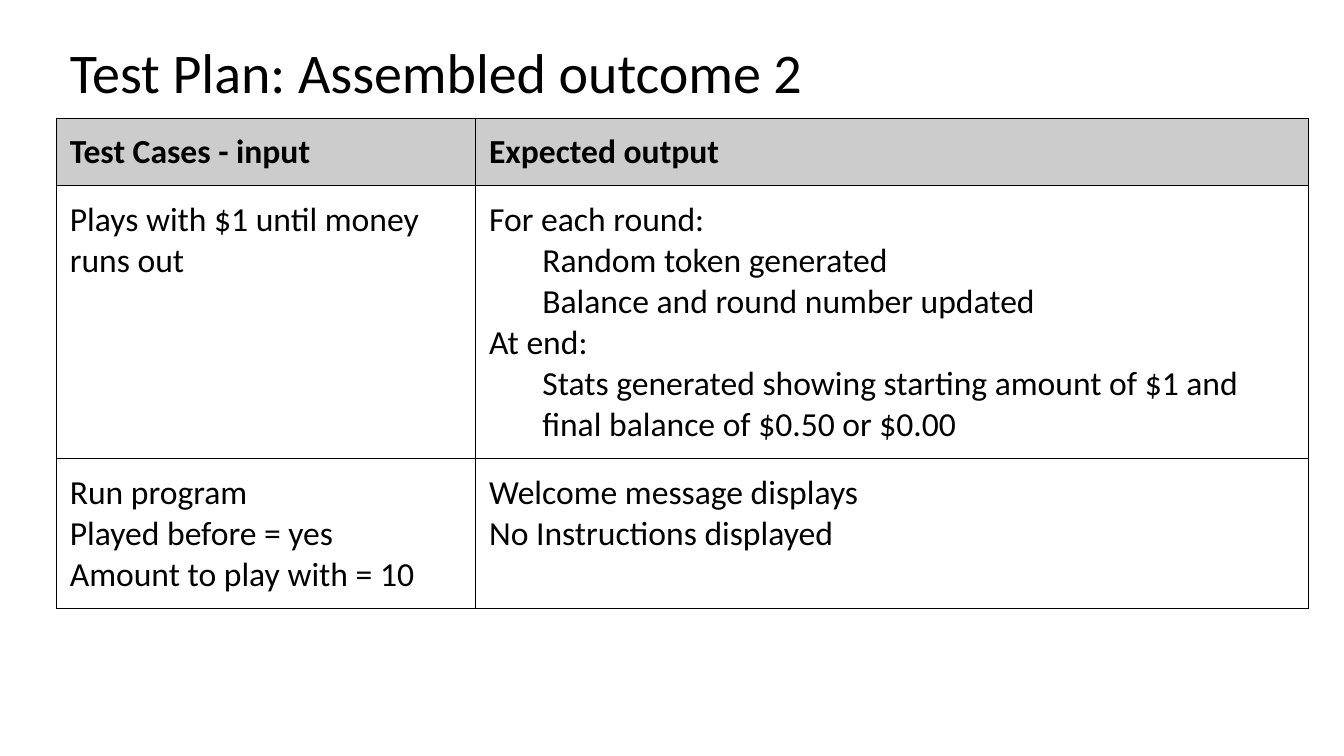
from lxml import etree
from pptx import Presentation
from pptx import util as u
from pptx.dml.color import RGBColor
from pptx.enum import text
from pptx.oxml.ns import qn

INSET = u.Pt(9.6)
LEFT, WIDTH = u.Pt(40.3), u.Pt(894.5)


def color(hex_value):
    return RGBColor.from_string(hex_value)


def format_text(tf, size, bold=False):
    for p in tf.paragraphs:
        for r in p.runs:
            r.font.name = "Calibri"
            r.font.size = u.Pt(size)
            r.font.bold = bold
            r.font.color.rgb = color("000000")


prs = Presentation()
prs.slide_width, prs.slide_height = u.Pt(960), u.Pt(540)
s = prs.slides.add_slide(prs.slide_layouts[5])

# Title
title = s.shapes.title
title.left, title.top, title.width, title.height = LEFT, u.Pt(24), WIDTH, u.Pt(60.3)
tf = title.text_frame
tf.text = "Test Plan: Assembled outcome 2"
tf.word_wrap = True
tf.auto_size = text.MSO_AUTO_SIZE.NONE
tf.vertical_anchor = text.MSO_ANCHOR.MIDDLE
tf.margin_left = tf.margin_right = tf.margin_top = tf.margin_bottom = INSET
tf.paragraphs[0].alignment = text.PP_ALIGN.LEFT
tf.paragraphs[0].line_spacing = 0.9
format_text(tf, 40)

# Table content: a leading tab marks an indented line
rows = [
    ["Test Cases - input", "Expected output"],
    ["Plays with $1 until money runs out",
     "For each round:\n"
     "\tRandom token generated\n"
     "\tBalance and round number updated\n"
     "At end:\n"
     "\tStats generated showing starting amount of $1 and\n"
     "\tfinal balance of $0.50 or $0.00"],
    ["Run program\nPlayed before = yes\nAmount to play with = 10",
     "Welcome message displays\nNo Instructions displayed"],
]
row_heights = [48, 195, 107]
col_widths = [299.5, 595]

# Table
table = s.shapes.add_table(len(rows), 2, LEFT, u.Pt(84.3), WIDTH, u.Pt(sum(row_heights))).table
table.first_row = table.horz_banding = False
for column, width in zip(table.columns, col_widths):
    column.width = u.Pt(width)
for row, height in zip(table.rows, row_heights):
    row.height = u.Pt(height)

for i, row in enumerate(rows):
    for j, content in enumerate(row):
        cell = table.cell(i, j)
        cell.margin_left = cell.margin_right = INSET
        cell.margin_top = cell.margin_bottom = INSET
        cell.vertical_anchor = text.MSO_ANCHOR.TOP

        # Thin black borders
        tcPr = cell._tc.get_or_add_tcPr()
        for side in ("a:lnL", "a:lnR", "a:lnT", "a:lnB"):
            ln = etree.SubElement(tcPr, qn(side), w=str(u.Pt(0.75)))
            fill = etree.SubElement(ln, qn("a:solidFill"))
            etree.SubElement(fill, qn("a:srgbClr"), val="000000")

        # Grey header, plain body
        if i == 0:
            cell.fill.solid()
            cell.fill.fore_color.rgb = color("CCCCCC")
        else:
            cell.fill.background()

        # Lines of text
        tf = cell.text_frame
        for n, line in enumerate(content.split("\n")):
            p = tf.add_paragraph() if n else tf.paragraphs[0]
            p.text = line.lstrip("\t")
            if line.startswith("\t"):
                p._p.get_or_add_pPr().set("marL", str(u.Pt(38)))
        format_text(tf, 24, bold=i == 0)

prs.save("out.pptx")
